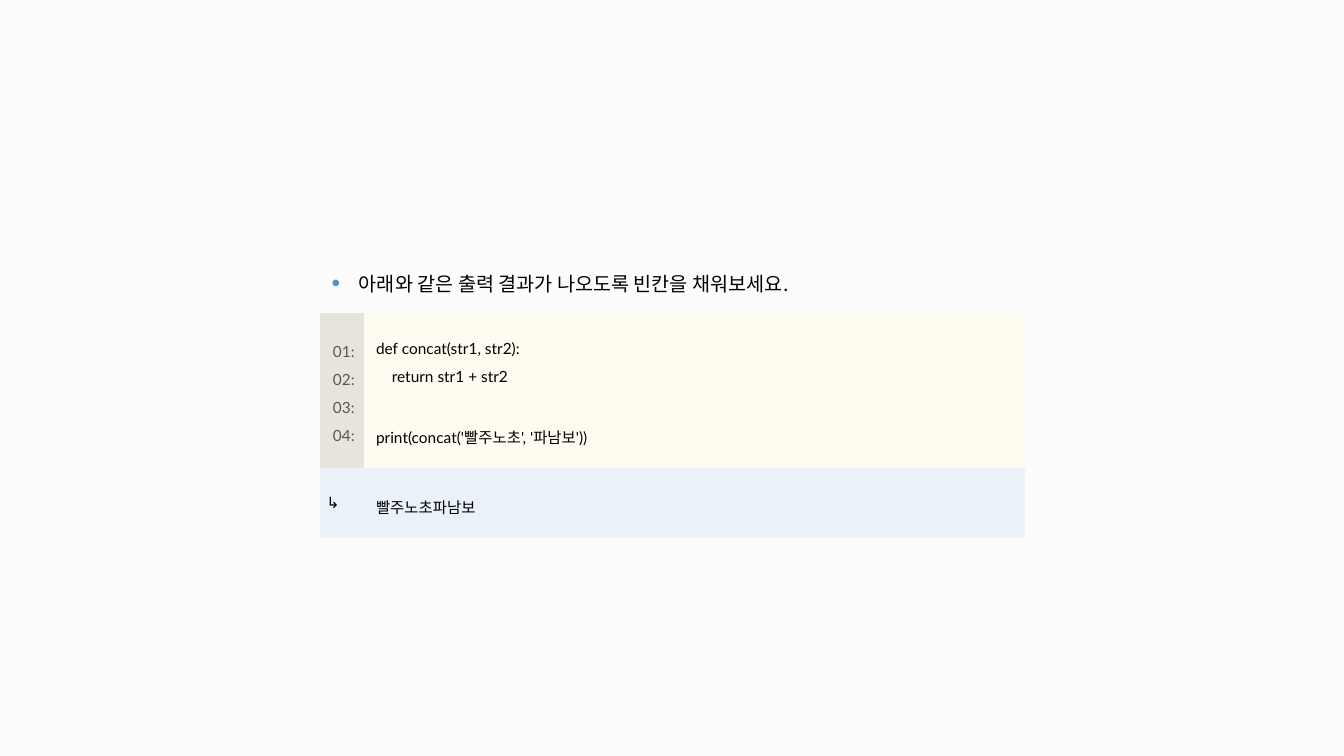
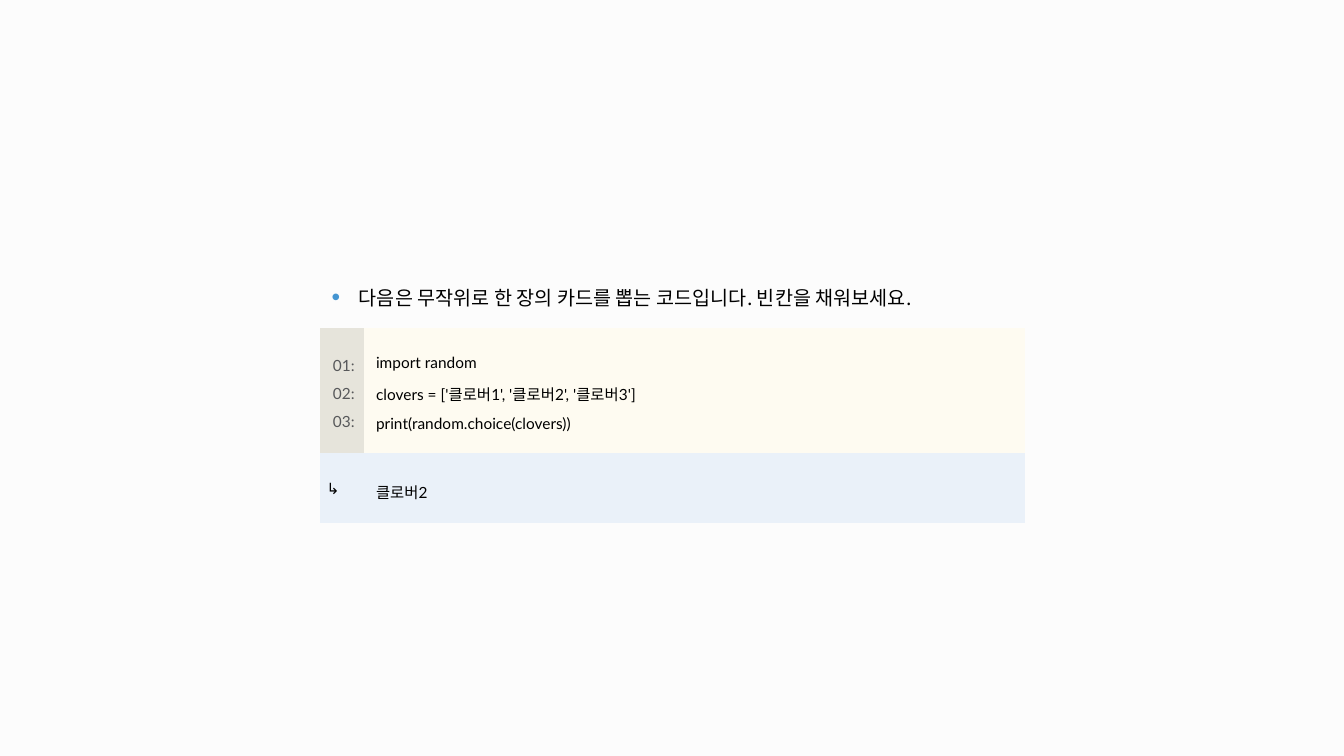
from dataclasses import dataclass

from pptx import Presentation
from pptx import util as u
from pptx.dml import color as colors
from pptx.enum import text as text_enum
from pptx.oxml import ns, xmlchemy


def rgb(value: str) -> colors.RGBColor:
    return colors.RGBColor.from_string(value)


@dataclass(frozen=True)
class Theme:
    background: str = "FCFCFC"
    ink: str = "000000"
    line_number: str = "57585A"
    bullet: str = "4495D1"
    gutter_fill: str = "E6E4DB"
    code_fill: str = "FEFBF1"
    output_fill: str = "EAF1F9"
    latin_font: str = "Lato"
    korean_font: str = "Noto Sans CJK KR"
    question_size: float = 14
    code_size: float = 11
    line_spacing: float = 1.5


@dataclass(frozen=True)
class CellStyle:
    """Insets are left, top, right, bottom in inches."""
    insets: tuple[float, float, float, float]
    fill: str | None = None
    color: str = Theme.ink
    size: float = Theme.code_size
    font: str = Theme.latin_font
    align: text_enum.PP_ALIGN | None = None
    anchor: text_enum.MSO_ANCHOR = text_enum.MSO_ANCHOR.MIDDLE
    bulleted: bool = False


@dataclass(frozen=True)
class Exercise:
    question: str
    code: tuple[str, ...]
    output: str


THEME = Theme()
QUESTION = CellStyle((0.12, 0.04, 0, 0.16), size=THEME.question_size,
                     font=THEME.korean_font, bulleted=True)
GUTTER = CellStyle((0.04, 0.04, 0, 0.08), THEME.gutter_fill, THEME.line_number,
                   align=text_enum.PP_ALIGN.CENTER)
CODE = CellStyle((0.12, 0.16, 0, 0.2), THEME.code_fill)
ARROW = CellStyle((0.07, 0.16, 0, 0.2), THEME.output_fill,
                  anchor=text_enum.MSO_ANCHOR.TOP)
OUTPUT = CellStyle((0.12, 0.16, 0, 0.2), THEME.output_fill)

TABLE_LEFT, TABLE_MIDDLE = 3.17, 3.9
COLUMN_WIDTHS = (0.44, 6.56)
QUESTION_HEIGHT, OUTPUT_HEIGHT = 0.63, 0.69
CODE_PADDING, CODE_LINE_HEIGHT = 0.4, 0.28
BULLET_INDENT = 0.27
PLAIN_TABLE_STYLE = "{2D5ABB26-0587-4C30-8999-92F81FD0307C}"

EXERCISES = (
    Exercise(
        "아래와 같은 출력 결과가 나오도록 빈칸을 채워보세요.",
        ("def concat(str1, str2):",
         "    return str1 + str2",
         "",
         "print(concat('빨주노초', '파남보'))"),
        "빨주노초파남보",
    ),
    Exercise(
        "다음은 무작위로 한 장의 카드를 뽑는 코드입니다. 빈칸을 채워보세요.",
        ("import random",
         "clovers = ['클로버1', '클로버2', '클로버3']",
         "print(random.choice(clovers))"),
        "클로버2",
    ),
)


def add_child(parent, tag: str, **attributes: str):
    child = xmlchemy.OxmlElement(tag)
    for name, value in attributes.items():
        child.set(name, value)
    parent.append(child)
    return child


def add_bullet(paragraph) -> None:
    properties = paragraph._p.get_or_add_pPr()
    indent = u.Inches(BULLET_INDENT)
    properties.set("marL", str(indent))
    properties.set("indent", str(-indent))
    bullet_color = add_child(properties, "a:buClr")
    add_child(bullet_color, "a:srgbClr", val=THEME.bullet)
    add_child(properties, "a:buSzPct", val="125000")
    add_child(properties, "a:buFont", typeface="Arial")
    add_child(properties, "a:buChar", char="•")


def add_line(paragraph, line: str, style: CellStyle) -> None:
    if style.bulleted:
        add_bullet(paragraph)
    paragraph.line_spacing = THEME.line_spacing
    if style.align is not None:
        paragraph.alignment = style.align
    if not line:
        add_child(paragraph._p, "a:endParaRPr", sz=str(u.Pt(style.size).centipoints))
        return
    run = paragraph.add_run()
    run.text = line
    run.font.size = u.Pt(style.size)
    run.font.bold = False
    run.font.color.rgb = rgb(style.color)
    run.font.name = style.font
    add_child(run._r.get_or_add_rPr(), "a:ea", typeface=THEME.korean_font)


def fill_cell(cell, lines: tuple[str, ...], style: CellStyle) -> None:
    (cell.margin_left, cell.margin_top,
     cell.margin_right, cell.margin_bottom) = map(u.Inches, style.insets)
    cell.vertical_anchor = style.anchor
    if style.fill is None:
        cell.fill.background()
    else:
        cell.fill.solid()
        cell.fill.fore_color.rgb = rgb(style.fill)
    frame = cell.text_frame
    for index, line in enumerate(lines):
        paragraph = frame.add_paragraph() if index else frame.paragraphs[0]
        add_line(paragraph, line, style)


def add_exercise_table(slide, exercise: Exercise) -> None:
    code_height = CODE_PADDING + CODE_LINE_HEIGHT * len(exercise.code)
    heights = (QUESTION_HEIGHT, code_height, OUTPUT_HEIGHT)
    table = slide.shapes.add_table(
        len(heights), len(COLUMN_WIDTHS),
        u.Inches(TABLE_LEFT), u.Inches(TABLE_MIDDLE - sum(heights) / 2),
        u.Inches(sum(COLUMN_WIDTHS)), u.Inches(sum(heights))).table
    table.first_row = table.horz_banding = False
    table._tbl.tblPr.find(ns.qn("a:tableStyleId")).text = PLAIN_TABLE_STYLE
    for column, width in zip(table.columns, COLUMN_WIDTHS):
        column.width = u.Inches(width)
    for row, height in zip(table.rows, heights):
        row.height = u.Inches(height)

    numbers = tuple(f"{number:02}:" for number in range(1, len(exercise.code) + 1))
    table.cell(0, 0).merge(table.cell(0, 1))
    fill_cell(table.cell(0, 0), (exercise.question,), QUESTION)
    fill_cell(table.cell(1, 0), numbers, GUTTER)
    fill_cell(table.cell(1, 1), exercise.code, CODE)
    fill_cell(table.cell(2, 0), ("↳",), ARROW)
    fill_cell(table.cell(2, 1), (exercise.output,), OUTPUT)


def main() -> None:
    presentation = Presentation()
    presentation.slide_width = u.Inches(13.33)
    presentation.slide_height = u.Inches(7.5)
    background = presentation.slide_master.background.fill
    background.solid()
    background.fore_color.rgb = rgb(THEME.background)
    blank_layout = presentation.slide_layouts[6]
    for exercise in EXERCISES:
        add_exercise_table(presentation.slides.add_slide(blank_layout), exercise)
    presentation.save("out.pptx")


if __name__ == "__main__":
    main()
